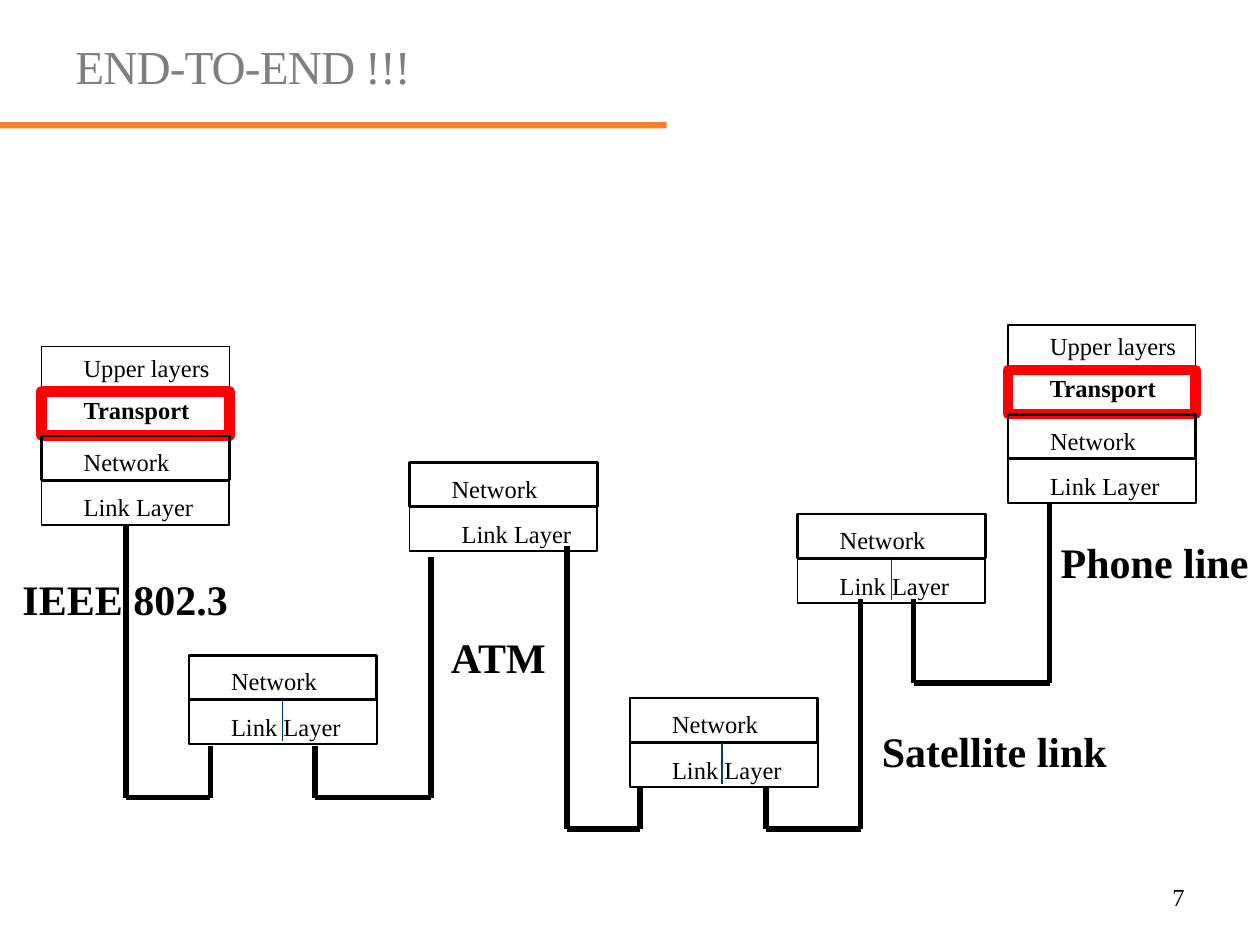
from itertools import pairwise

from pptx import Presentation
from pptx.dml.color import RGBColor
from pptx.enum.shapes import MSO_CONNECTOR, MSO_SHAPE
from pptx.enum.text import MSO_ANCHOR, PP_ALIGN
from pptx.oxml.xmlchemy import OxmlElement
from pptx.util import Inches, Pt

FONT = "Times New Roman"
BLACK, RED, ORANGE, GREY, NAVY = "000000", "FF0000", "F4812A", "7F7F7F", "004065"
BOX_WIDTH, BOX_HEIGHT, ROW_PITCH = 1.49, 0.35, 0.355
LABEL_INDENT = 0.235

# name: line colour, line width, label drop, label width, label height, bold
LAYERS = {
    "Upper layers": (BLACK, 0.75, 0, 1.2, 0.33, False),
    "Transport": (RED, 6, -0.02, 1.06, 0.33, True),
    "Network": (BLACK, 1.5, 0.04, 0.88, 0.33, False),
    "Link Layer": (BLACK, 1, 0.045, 1.35, 0.57, False),
}
HOST = list(LAYERS)
ROUTER = HOST[2:]

# left, top, layers, extra indent of the link label, divider offset
STACKS = [
    (0.33, 2.75, HOST, 0, None),
    (8, 2.58, HOST, 0, None),
    (1.5, 5.2, ROUTER, 0, 0.745),
    (3.25, 3.67, ROUTER, 0.08, None),
    (5, 5.54, ROUTER, 0, 0.73),
    (6.33, 4.08, ROUTER, 0, 0.745),
]

# left x, left top, bottom, right x, right top
CABLES = [
    (1, 4.17, 6.33, 1.67, 5.92),
    (2.5, 5.92, 6.33, 3.42, 4.42),
    (4.5, 4.33, 6.58, 5.08, 6.25),
    (6.08, 6.25, 6.58, 6.83, 4.75),
    (7.25, 4.75, 5.42, 8.33, 4),
]

# text, left, top, width
LINK_NAMES = [
    ("IEEE 802.3", 0.08, 4.5, 1.85),
    ("ATM", 3.48, 4.96, 0.98),
    ("Satellite link", 6.9, 5.71, 1.99),
    ("Phone line", 8.32, 4.21, 1.69),
]


def rgb(value):
    return RGBColor.from_string(value)


def add_text(slide, text, left, top, width, height, size, bold=False,
             color=BLACK, align=PP_ALIGN.LEFT, wrap=False):
    box = slide.shapes.add_textbox(*map(Inches, (left, top, width, height)))
    frame = box.text_frame
    frame.word_wrap = wrap
    frame.vertical_anchor = MSO_ANCHOR.TOP
    paragraph = frame.paragraphs[0]
    paragraph.alignment = align
    run = paragraph.add_run()
    run.text = text
    for name, value in {"name": FONT, "size": Pt(size), "bold": bold}.items():
        setattr(run.font, name, value)
    run.font.color.rgb = rgb(color)
    return paragraph


def add_rectangle(slide, left, top, width, height, fill=None, line=None, weight=1):
    shape = slide.shapes.add_shape(
        MSO_SHAPE.RECTANGLE, *map(Inches, (left, top, width, height)))
    shape.shadow.inherit = False
    if fill:
        shape.fill.solid()
        shape.fill.fore_color.rgb = rgb(fill)
    else:
        shape.fill.background()
    if line:
        shape.line.color.rgb = rgb(line)
        shape.line.width = Pt(weight)
    else:
        shape.line.fill.background()


def add_line(slide, start, end, color, weight):
    connector = slide.shapes.add_connector(
        MSO_CONNECTOR.STRAIGHT, *map(Inches, (*start, *end)))
    connector.line.color.rgb = rgb(color)
    connector.line.width = Pt(weight)
    connector._element.spPr.append(OxmlElement("a:effectLst"))


def add_stack(slide, left, top, layers, link_indent):
    for row, name in enumerate(layers):
        color, weight, drop, width, height, bold = LAYERS[name]
        row_top = top + row * ROW_PITCH
        indent = LABEL_INDENT + (link_indent if name == "Link Layer" else 0)
        add_rectangle(slide, left, row_top, BOX_WIDTH, BOX_HEIGHT,
                      line=color, weight=weight)
        add_text(slide, name, left + indent, row_top + drop, width, height, 14, bold)


def main():
    presentation = Presentation()
    presentation.slide_width, presentation.slide_height = Inches(10), Inches(7.5)
    slide = presentation.slides.add_slide(presentation.slide_layouts[6])

    add_rectangle(slide, 0, 0.97, 5.29, 0.05, fill=ORANGE)
    add_text(slide, "7", 7.17, 6.95, 2.33, 0.4, 14, align=PP_ALIGN.RIGHT, wrap=True)
    title = add_text(slide, "END-TO-END !!!", 0.5, 0.3, 9, 0.67, 27,
                     color=GREY, wrap=True)
    title.line_spacing = 0.9
    title.runs[0]._r.get_or_add_rPr().set("spc", "-50")

    for left, top, layers, link_indent, _ in STACKS:
        add_stack(slide, left, top, layers, link_indent)
    for left, left_top, bottom, right, right_top in CABLES:
        corners = [(left, left_top), (left, bottom), (right, bottom), (right, right_top)]
        for start, end in pairwise(corners):
            add_line(slide, start, end, BLACK, 3)
    for text, left, top, width in LINK_NAMES:
        add_text(slide, text, left, top, width, 0.5, 24, bold=True)
    for left, top, _, _, divider in STACKS:
        if divider:
            x, y = left + divider, top + ROW_PITCH
            add_line(slide, (x, y), (x, y + 0.33), NAVY, 0.75)

    presentation.save("out.pptx")


if __name__ == "__main__":
    main()
